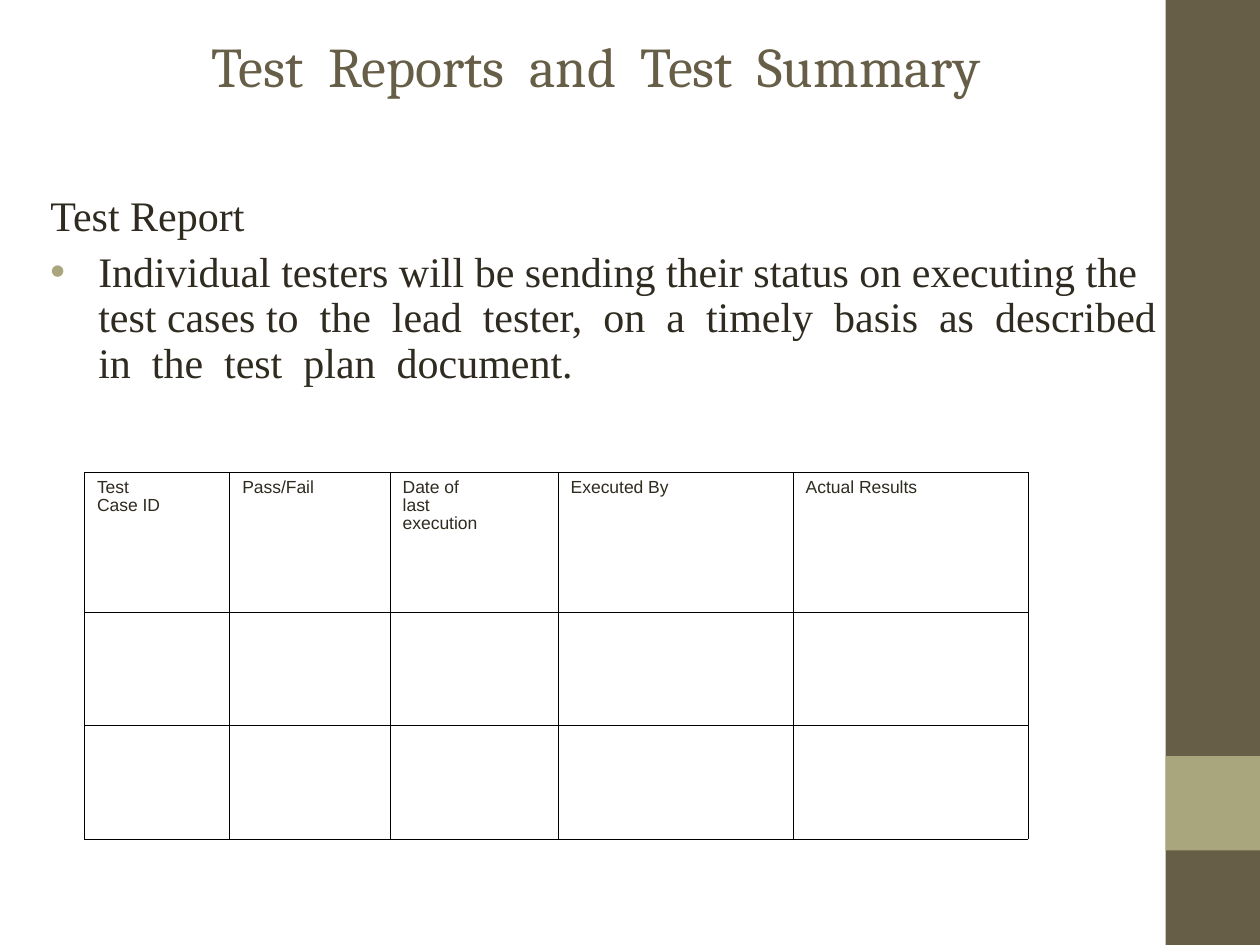
from lxml.etree import SubElement
from pptx import Presentation
from pptx.dml.color import RGBColor
from pptx.enum.shapes import MSO_SHAPE
from pptx.enum.text import MSO_ANCHOR, MSO_AUTO_SIZE, PP_ALIGN
from pptx.oxml.ns import qn
from pptx.util import Inches, Pt

HUES = {"brown": "675E47", "sage": "A9A57C", "ink": "2F2B20", "rule": "000000"}
HEADS = [["Test", "Case ID"], ["Pass/Fail"], ["Date of", "last", "execution"],
         ["Executed By"], ["Actual Results"]]
COLS = [1.15, 1.27, 1.33, 1.86, 1.86]
ROWS = [1.11, 0.9, 0.9]
POINTS = [
    ("Test Report", False),
    ("Individual testers will be sending their status on executing the test cases to"
     "  the  lead  tester,  on  a  timely  basis  as  described  in  the  test"
     "  plan  document.", True),
]


def place(shape, box):
    """Put a shape into a box of left, top, width and height in inches."""
    shape.left, shape.top, shape.width, shape.height = map(Inches, box)


def write(para, text, font, size, hue):
    """Add one styled run to a paragraph."""
    run = para.add_run()
    run.text = text
    run.font.name = font
    run.font.size = Pt(size)
    run.font.color.rgb = RGBColor.from_string(HUES[hue])


def hang(para, space, bullet=False):
    """Give a paragraph a hanging indent, line spacing and a bullet or none."""
    para.alignment = PP_ALIGN.LEFT
    para.line_spacing = space
    props = para._p.get_or_add_pPr()
    props.set("marL", str(Inches(0.38)))
    props.set("indent", str(-Inches(0.38)))
    if bullet:
        tint = SubElement(props, qn("a:buClr"))
        SubElement(tint, qn("a:srgbClr"), val=HUES["sage"])
        SubElement(props, qn("a:buFont"), typeface="Arial")
        SubElement(props, qn("a:buChar"), char="•")
    else:
        SubElement(props, qn("a:buNone"))


def add_strip(slide, box):
    """Draw the side strip with its sage band behind the text."""
    left, top, width, height = box
    parts = [(top, height, "brown"), (top + height * 0.8, height * 0.1, "sage")]
    for layer, (start, tall, hue) in enumerate(parts):
        bar = slide.shapes.add_shape(
            MSO_SHAPE.RECTANGLE, *map(Inches, (left, start, width, tall)))
        bar.shadow.inherit = False
        bar.fill.solid()
        bar.fill.fore_color.rgb = RGBColor.from_string(HUES[hue])
        bar.line.fill.background()
        bar.element.getparent().insert(2 + layer, bar.element)


def fill_title(slide, box):
    """Fill the title placeholder."""
    title = slide.shapes.title
    place(title, box)
    frame = title.text_frame
    frame.auto_size = MSO_AUTO_SIZE.NONE
    frame.vertical_anchor = MSO_ANCHOR.MIDDLE
    para = frame.paragraphs[0]
    para.alignment = PP_ALIGN.LEFT
    write(para, "Test  Reports  and  Test  Summary", "Cambria", 32, "brown")


def fill_body(slide, box):
    """Fill the body placeholder with a heading and its point."""
    body = slide.placeholders[1]
    place(body, box)
    frame = body.text_frame
    frame.auto_size = MSO_AUTO_SIZE.NONE
    for count, (text, bullet) in enumerate(POINTS):
        para = frame.add_paragraph() if count else frame.paragraphs[0]
        para.space_before = Pt(6)
        hang(para, 0.9, bullet)
        write(para, text, "Times New Roman", 24, "ink")


def edge(cell):
    """Rule all four sides of a cell and leave it clear."""
    props = cell._tc.get_or_add_tcPr()
    for side in ("lnL", "lnR", "lnT", "lnB"):
        line = SubElement(props, qn("a:" + side), w=str(Pt(0.45)))
        paint = SubElement(line, qn("a:solidFill"))
        SubElement(paint, qn("a:srgbClr"), val=HUES["rule"])
    cell.fill.background()


def add_grid(slide, box):
    """Add the report table, sharing the box among its columns and rows."""
    left, top, width, height = box
    grid = slide.shapes.add_table(
        len(ROWS), len(COLS), *map(Inches, box)).table
    grid.first_row = grid.horz_banding = False
    for col, share in zip(grid.columns, COLS):
        col.width = Inches(width * share / sum(COLS))
    for row, share in zip(grid.rows, ROWS):
        row.height = Inches(height * share / sum(ROWS))
    for cell in grid.iter_cells():
        edge(cell)
    for cell, lines in zip(grid.rows[0].cells, HEADS):
        frame = cell.text_frame
        for count, text in enumerate(lines):
            para = frame.add_paragraph() if count else frame.paragraphs[0]
            hang(para, 0.93)
            write(para, text, "Arial", 10, "ink")


def main():
    """Build and save the slide."""
    deck = Presentation()
    deck.slide_width, deck.slide_height = Inches(10), Inches(7.5)
    slide = deck.slides.add_slide(deck.slide_layouts[1])
    add_strip(slide, (9.25, 0, 0.75, 7.5))
    fill_title(slide, (1.58, 0.07, 8.26, 0.9))
    fill_body(slide, (0.3, 1.5, 9.2, 1.91))
    add_grid(slide, (0.67, 3.75, 7.49, 2.91))
    deck.save("out.pptx")


if __name__ == "__main__":
    main()
